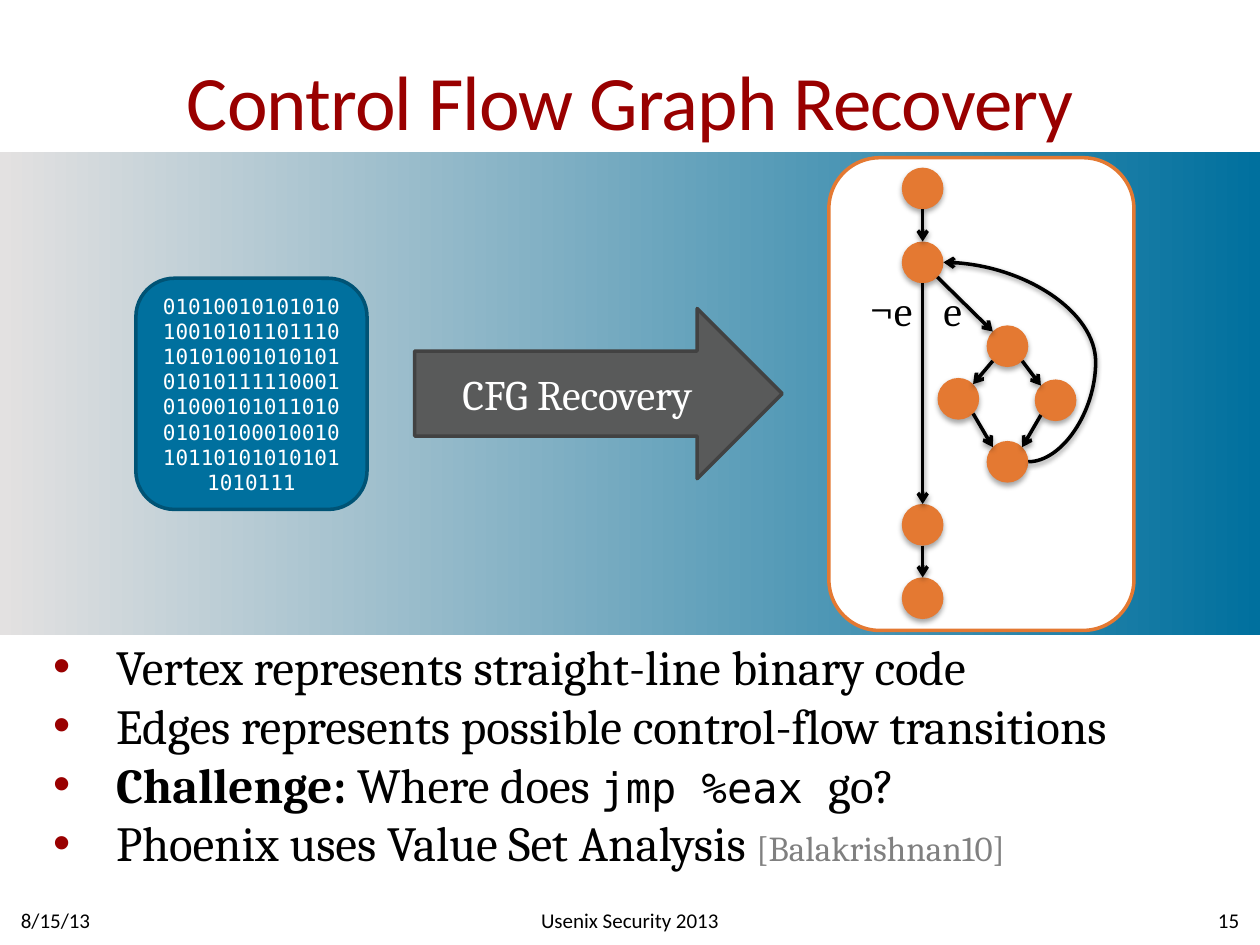
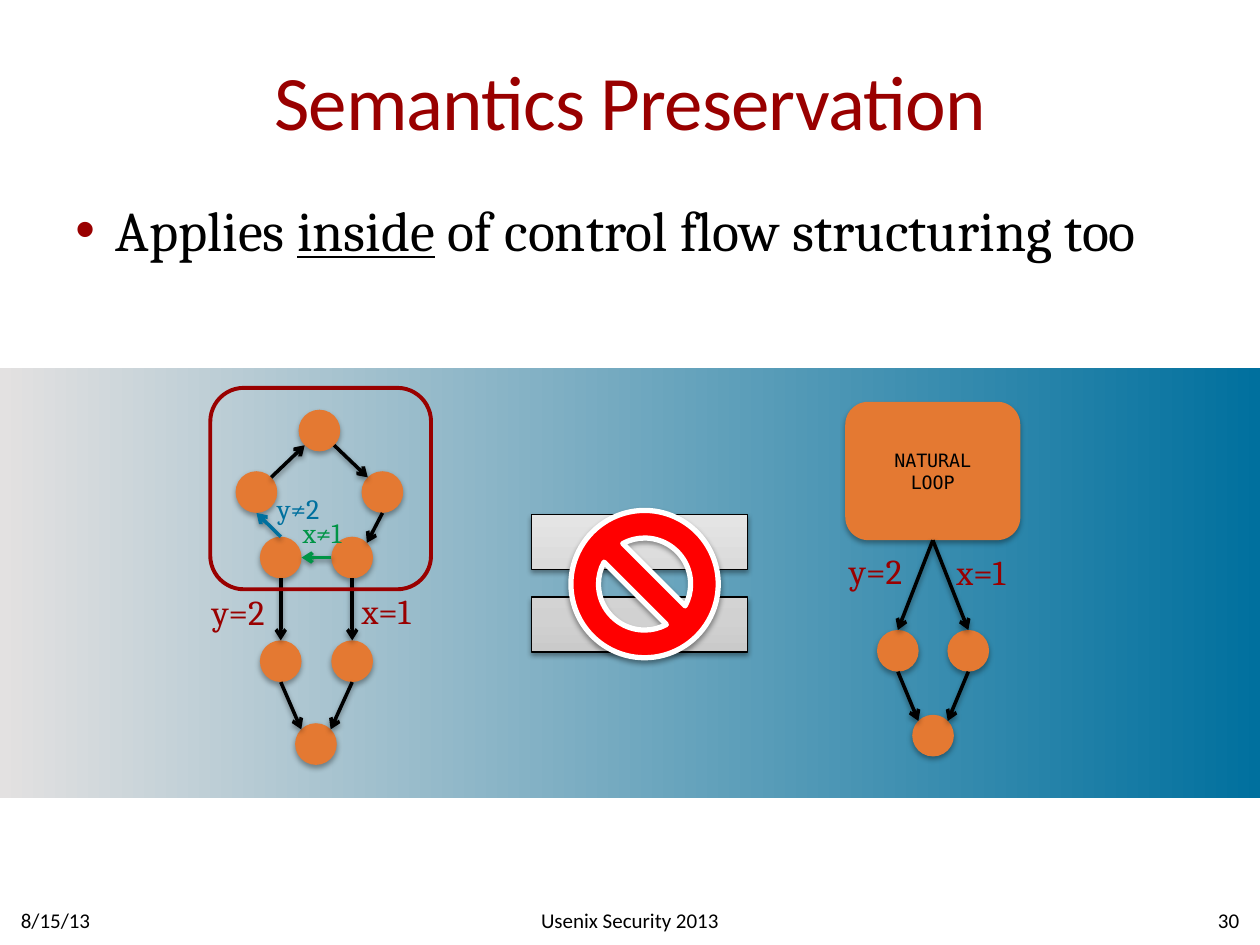
from math import sqrt
from pptx import Presentation
from pptx.dml.color import RGBColor
from pptx.enum.shapes import MSO_CONNECTOR, MSO_SHAPE
from pptx.enum.text import MSO_ANCHOR, PP_ALIGN
from pptx.oxml import parse_xml
from pptx.oxml.ns import nsdecls, qn
from pptx.util import Cm, Pt

RED = RGBColor(0x99, 0x00, 0x00)
BLUE = RGBColor(0x00, 0x70, 0x9E)
DARK_BLUE = RGBColor(0x00, 0x53, 0x75)
ORANGE = RGBColor(0xE4, 0x79, 0x32)
GREEN = RGBColor(0x00, 0x94, 0x46)
SLATE = RGBColor(0x59, 0x5A, 0x5A)
DARK_SLATE = RGBColor(0x42, 0x42, 0x42)
GRAY = RGBColor(0x80, 0x80, 0x80)
PALE = RGBColor(0xE3, 0xE1, 0xE1)
BLACK = RGBColor(0x00, 0x00, 0x00)
WHITE = RGBColor(0xFF, 0xFF, 0xFF)
STOP_RED = RGBColor(0xFF, 0x00, 0x00)
BAND_STOPS = ((0, PALE), (100, BLUE))
EQUAL_STOPS = (
    (0, RGBColor(0xBD, 0xBD, 0xBD)),
    (35, RGBColor(0xD1, 0xD1, 0xD1)),
    (100, RGBColor(0xEE, 0xEE, 0xEE)),
)

SANS, SERIF, MONO = "Calibri", "Cambria", "DejaVu Sans Mono"
WIDTH, HEIGHT = 25.4, 19.05
RADIUS = 0.42
DIAGONAL = 1 / sqrt(2)
SITES = {
    "N": (0, -1), "S": (0, 1), "W": (-1, 0), "E": (1, 0),
    "NW": (-DIAGONAL, -DIAGONAL), "NE": (DIAGONAL, -DIAGONAL),
    "SW": (-DIAGONAL, DIAGONAL), "SE": (DIAGONAL, DIAGONAL),
}
LEFT, CENTER, RIGHT = PP_ALIGN.LEFT, PP_ALIGN.CENTER, PP_ALIGN.RIGHT
TOP, MIDDLE = MSO_ANCHOR.TOP, MSO_ANCHOR.MIDDLE
NO_INSETS, DEFAULT_INSETS = (0, 0), (0.25, 0.13)


def font(name, size, color=BLACK, **extra):
    return {"name": name, "size": Pt(size), "color": color, **extra}


def site(center, direction):
    return tuple(c + RADIUS * d for c, d in zip(center, SITES[direction]))


class Deck:
    def __init__(self):
        self.presentation = Presentation()
        self.presentation.slide_width = Cm(WIDTH)
        self.presentation.slide_height = Cm(HEIGHT)
        self.slide = None

    def new_slide(self, title, number, band_top, band_height):
        self.slide = self.presentation.slides.add_slide(self.presentation.slide_layouts[6])
        band = self.shape(MSO_SHAPE.RECTANGLE, (0, band_top, WIDTH, band_height))
        self.gradient(band, BAND_STOPS, 0)
        self.text((1.27, 0.43, 22.86, 3.18), [[(title, font(SANS, 44, RED, spacing=-50))]],
                  CENTER, MIDDLE, (0, 0.13))
        footers = (("8/15/13", 0.42, 5.93, LEFT),
                   ("Usenix Security 2013", 8.68, 8.04, CENTER),
                   (number, 19.05, 5.93, RIGHT))
        for words, left, width, align in footers:
            self.text((left, 18.03, width, 1.02), [[(words, font(SANS, 12))]], align, MIDDLE)

    def fill_text(self, shape, paragraphs, align=CENTER, anchor=MIDDLE, insets=DEFAULT_INSETS,
                  indent=0):
        frame = shape.text_frame
        horizontal, vertical = map(Cm, insets)
        layout = {"word_wrap": True, "vertical_anchor": anchor,
                  "margin_left": horizontal, "margin_right": horizontal,
                  "margin_top": vertical, "margin_bottom": vertical}
        for key, value in layout.items():
            setattr(frame, key, value)
        for index, runs in enumerate(paragraphs):
            paragraph = frame.add_paragraph() if index else frame.paragraphs[0]
            paragraph.alignment = align
            if indent:
                self.bullet(paragraph, indent)
            for words, style in runs:
                run = paragraph.add_run()
                run.text = words
                self.style(run, style)

    def style(self, run, style):
        for key, value in style.items():
            if key == "color":
                run.font.color.rgb = value
            elif key == "spacing":
                run.font._element.set("spc", str(value))
            else:
                setattr(run.font, key, value)

    def bullet(self, paragraph, indent):
        properties = paragraph._p.get_or_add_pPr()
        properties.set("marL", str(Cm(indent)))
        properties.set("indent", str(-Cm(indent)))
        for tag in (f'buClr {nsdecls("a")}><a:srgbClr val="{RED}"/></a:buClr',
                    f'buFont {nsdecls("a")} typeface="Arial"/',
                    f'buChar {nsdecls("a")} char="•"/'):
            properties.append(parse_xml(f"<a:{tag}>"))

    def text(self, box, paragraphs, align=LEFT, anchor=TOP, insets=NO_INSETS, indent=0):
        shape = self.slide.shapes.add_textbox(*map(Cm, box))
        self.fill_text(shape, paragraphs, align, anchor, insets, indent)

    def label(self, words, left, top, size, color=RED):
        self.text((left, top, 1.3, size * 0.043), [[(words, font(SERIF, size, color))]])

    def shape(self, kind, box, fill=None, line=None, line_width=2):
        shape = self.slide.shapes.add_shape(kind, *map(Cm, box))
        shape.shadow.inherit = False
        if fill is None:
            shape.fill.background()
        else:
            shape.fill.solid()
            shape.fill.fore_color.rgb = fill
        if line is None:
            shape.line.fill.background()
        else:
            shape.line.color.rgb = line
            shape.line.width = Pt(line_width)
        return shape

    def gradient(self, shape, stops, angle):
        stop_xml = "".join(f'<a:gs pos="{position * 1000}"><a:srgbClr val="{color}"/></a:gs>'
                           for position, color in stops)
        properties = shape._element.spPr
        properties.remove(properties.find(qn("a:noFill")))
        properties.find(qn("a:prstGeom")).addnext(parse_xml(
            f'<a:gradFill {nsdecls("a")} rotWithShape="1"><a:gsLst>{stop_xml}</a:gsLst>'
            f'<a:lin ang="{angle * 60000}" scaled="0"/></a:gradFill>'))

    def shadow(self, shape, opacity=38, distance=1.6):
        properties = shape._element.spPr
        for effects in properties.findall(qn("a:effectLst")):
            properties.remove(effects)
        properties.append(parse_xml(
            f'<a:effectLst {nsdecls("a")}><a:outerShdw blurRad="{Pt(3.1)}" dist="{Pt(distance)}" '
            f'dir="5400000" rotWithShape="0"><a:srgbClr val="{BLACK}">'
            f'<a:alpha val="{opacity * 1000}"/></a:srgbClr></a:outerShdw></a:effectLst>'))

    def node(self, center):
        x, y = center
        circle = self.shape(MSO_SHAPE.OVAL, (x - RADIUS, y - RADIUS, 2 * RADIUS, 2 * RADIUS), ORANGE)
        self.shadow(circle, 35, 1.8)

    def arrow(self, start, end, color=BLACK, kind=MSO_CONNECTOR.STRAIGHT):
        connector = self.slide.shapes.add_connector(kind, *map(Cm, start + end))
        connector.line.color.rgb = color
        connector.line.width = Pt(2)
        connector.line._get_or_add_ln().append(
            parse_xml(f'<a:tailEnd {nsdecls("a")} type="arrow"/>'))
        self.shadow(connector)
        return connector

    def graph(self, nodes, edges):
        for center in nodes.values():
            self.node(center)
        for source, leave, target, enter, *color in edges:
            self.arrow(site(nodes[source], leave), site(nodes[target], enter), *color)


def merge(left, right, end):
    return [(left, "S", end, "NW"), (right, "S", end, "NE")]


def recovery_slide(deck):
    deck.new_slide("Control Flow Graph Recovery", "15", 3.07, 9.73)
    binary = deck.shape(MSO_SHAPE.ROUNDED_RECTANGLE, (2.74, 5.61, 4.66, 4.66), BLUE, DARK_BLUE)
    bits = ("010100101010101001010110111010101001010101010101111100010100010"
            "101101001010100010010101101010101011010111")
    deck.fill_text(binary, [[(bits, font(MONO, 12, WHITE))]])

    body = font(SERIF, 28)
    deck.text((1.07, 12.83, 23.06, 4.78), [
        [("Vertex represents straight-line binary code", body)],
        [("Edges represents possible control-flow transitions", body)],
        [("Challenge: ", {**body, "bold": True}), ("Where does ", body),
         ("jmp %eax ", font(MONO, 24)), ("go?", body)],
        [("Phoenix uses Value Set Analysis ", body),
         ("[Balakrishnan10]", font(SERIF, 20, GRAY))],
    ], indent=1.27)

    step = deck.shape(MSO_SHAPE.RIGHT_ARROW, (8.36, 6.22, 7.41, 3.43), SLATE, DARK_SLATE)
    deck.fill_text(step, [[("CFG Recovery", font(SERIF, 24, WHITE))]], insets=NO_INSETS)

    deck.shape(MSO_SHAPE.ROUNDED_RECTANGLE, (16.71, 3.18, 6.15, 9.53), WHITE, ORANGE)
    spine, loop = 18.6, 20.31
    nodes = {
        "entry": (spine, 3.8), "branch": (spine, 5.29),
        "head": (loop, 6.98), "then": (21.28, 8.07), "else": (19.32, 8.04),
        "latch": (loop, 9.31), "join": (spine, 10.58), "exit": (spine, 12.06),
    }
    deck.graph(nodes, [
        ("entry", "S", "branch", "N"), ("branch", "SE", "head", "NW"),
        ("head", "SE", "then", "NW"), ("head", "SW", "else", "NE"),
        ("else", "SE", "latch", "NW"), ("then", "SW", "latch", "NE"),
        ("branch", "S", "join", "N"), ("join", "S", "exit", "N"),
    ])
    back_edge = deck.arrow(site(nodes["latch"], "E"), site(nodes["branch"], "E"),
                           kind=MSO_CONNECTOR.CURVE)
    geometry = back_edge._element.spPr.find(qn("a:prstGeom"))
    geometry.find(qn("a:avLst")).append(
        parse_xml(f'<a:gd {nsdecls("a")} name="adj1" fmla="val -79500"/>'))
    deck.label("e", 19.02, 5.74, 24, BLACK)
    deck.label("¬e", 17.55, 5.74, 24, BLACK)


def semantics_slide(deck):
    deck.new_slide("Semantics Preservation", "30", 7.41, 8.68)
    body = font(SERIF, 32)
    deck.text((1.27, 3.81, 23.7, 13.2), [
        [("Applies ", body), ("inside", {**body, "underline": True}),
         (" of control flow structuring too", body)],
    ], insets=DEFAULT_INSETS, indent=0.81)

    y_column, x_column = 5.66, 7.1
    nodes = {
        "top": (6.44, 8.68), "right": (7.71, 9.92), "left": (5.17, 9.92),
        "x test": (x_column, 11.24), "y test": (y_column, 11.24),
        "x exit": (x_column, 13.33), "y exit": (y_column, 13.33), "end": (6.37, 15),
    }
    deck.graph(nodes, [
        ("top", "SE", "right", "NW"), ("right", "S", "x test", "NE"),
        ("x test", "W", "y test", "E", GREEN), ("y test", "N", "left", "S", BLUE),
        ("left", "NE", "top", "SW"),
        ("x test", "S", "x exit", "N"), ("y test", "S", "y exit", "N"),
        *merge("y exit", "x exit", "end"),
    ])
    deck.label("x=1", 7.29, 11.89, 20)
    deck.label("y=2", 4.27, 11.91, 20)
    deck.label("x≠1", 6.1, 10.39, 16, GREEN)
    deck.label("y≠2", 5.59, 9.91, 16, BLUE)
    deck.shape(MSO_SHAPE.ROUNDED_RECTANGLE, (4.24, 7.82, 4.45, 4.06), None, RED, 2.25)

    natural_loop = deck.shape(MSO_SHAPE.ROUNDED_RECTANGLE, (17.04, 8.1, 3.53, 2.79), ORANGE)
    deck.shadow(natural_loop, 35, 1.8)
    deck.fill_text(natural_loop, [[(word, font(MONO, 10.5))] for word in ("NATURAL", "LOOP")])
    exits = {"y exit": (18.1, 13.12), "x exit": (19.52, 13.12), "end": (18.81, 14.83)}
    deck.graph(exits, merge("y exit", "x exit", "end"))
    for name in ("x exit", "y exit"):
        leaving = deck.arrow((18.8, 10.89), site(exits[name], "N"))
        leaving.begin_connect(natural_loop, 2)
    deck.label("y=2", 17.12, 11.07, 20)
    deck.label("x=1", 19.28, 11.1, 20)

    equal = deck.shape(MSO_SHAPE.MATH_EQUAL, (9.93, 9.4, 5.92, 4.72), None, BLACK, 0.75)
    deck.gradient(equal, EQUAL_STOPS, 270)
    deck.shadow(equal)
    forbidden = deck.shape(MSO_SHAPE.NO_SYMBOL, (11.51, 10.29, 2.97, 2.97), STOP_RED, WHITE, 3)
    deck.shadow(forbidden)


def main():
    deck = Deck()
    recovery_slide(deck)
    semantics_slide(deck)
    deck.presentation.save("out.pptx")


if __name__ == "__main__":
    main()
